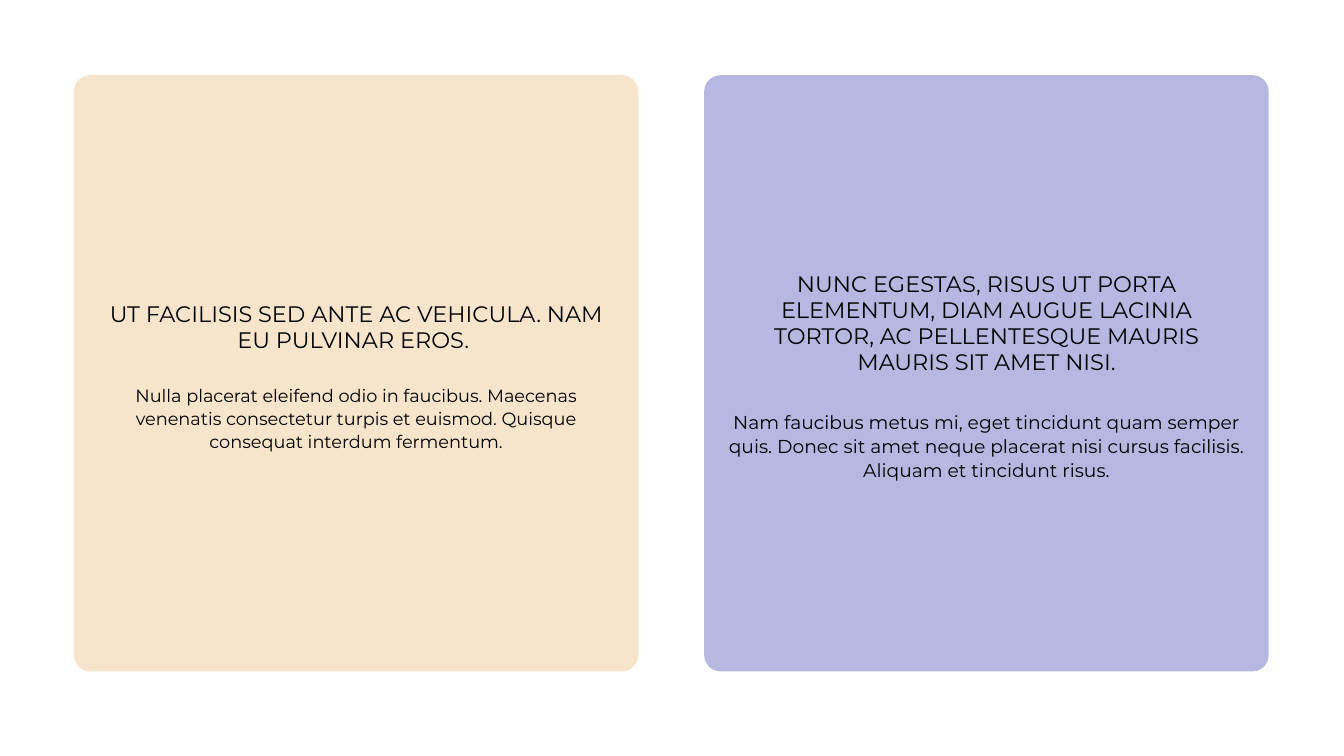
from lxml.etree import SubElement
from pptx import Presentation
from pptx.dml.color import RGBColor
from pptx.enum.shapes import MSO_SHAPE
from pptx.enum.text import MSO_AUTO_SIZE, PP_ALIGN
from pptx.oxml.ns import qn
from pptx.util import Inches, Pt

AMBER = RGBColor(0xE5, 0xAB, 0x55)
INDIGO = RGBColor(0x10, 0x15, 0x9F)
BLACK = RGBColor(0, 0, 0)

PANEL_TOP, PANEL_WIDTH, PANEL_HEIGHT = 1.12, 8.4, 8.87
CORNER_RADIUS = 0.24
TEXT_WIDTH = 7.67
TEXT_INSET = (PANEL_WIDTH - TEXT_WIDTH) / 2


class SlideBuilder:
    font = "Montserrat"
    panel_opacity = 30  # percent

    def __init__(self, slide):
        self.slide = slide

    def panel(self, left, color):
        panel = self.slide.shapes.add_shape(
            MSO_SHAPE.ROUNDED_RECTANGLE, Inches(left), Inches(PANEL_TOP),
            Inches(PANEL_WIDTH), Inches(PANEL_HEIGHT))
        panel.adjustments[0] = CORNER_RADIUS / PANEL_WIDTH
        panel.shadow.inherit = False
        panel.line.fill.background()
        panel.fill.solid()
        panel.fill.fore_color.rgb = color
        # Transparency of the fill
        color_xml = panel.fill._xPr.find(qn("a:solidFill"))[0]
        SubElement(color_xml, qn("a:alpha"), val=str(self.panel_opacity * 1000))

    def text(self, left, top, height, content, size, leading):
        box = self.slide.shapes.add_textbox(
            Inches(left), Inches(top), Inches(TEXT_WIDTH), Inches(height))
        frame = box.text_frame
        frame.word_wrap = True
        frame.auto_size = MSO_AUTO_SIZE.SHAPE_TO_FIT_TEXT
        frame.margin_left = frame.margin_right = 0
        frame.margin_top = frame.margin_bottom = 0
        frame.text = content
        paragraph = frame.paragraphs[0]
        paragraph.alignment = PP_ALIGN.CENTER
        paragraph.line_spacing = Pt(leading)
        font = paragraph.runs[0].font
        font.name, font.size = self.font, Pt(size)
        font.color.rgb = BLACK


# Each column: left, colour, then texts as (top, height, content, size, leading)
COLUMNS = [
    (1.1, AMBER, [
        (4.47, 0.78, "UT FACILISIS SED ANTE AC VEHICULA. NAM EU PULVINAR EROS. ",
         24, 28),
        (5.69, 1.04, "Nulla placerat eleifend odio in faucibus. Maecenas venenatis "
         "consectetur turpis et euismod. Quisque consequat interdum fermentum.",
         19, 25),
    ]),
    (10.48, INDIGO, [
        (4.03, 1.56, "NUNC EGESTAS, RISUS UT PORTA ELEMENTUM, DIAM AUGUE LACINIA "
         "TORTOR, AC PELLENTESQUE MAURIS MAURIS SIT AMET NISI.", 24, 28),
        (6.08, 1.08, "Nam faucibus metus mi, eget tincidunt quam semper quis. Donec "
         "sit amet neque placerat nisi cursus facilisis. Aliquam et tincidunt risus.",
         20, 26),
    ]),
]


def main():
    presentation = Presentation()
    presentation.slide_width = Inches(20)
    presentation.slide_height = Inches(11.25)
    blank_layout = presentation.slide_layouts[6]
    builder = SlideBuilder(presentation.slides.add_slide(blank_layout))

    # Two panels, each with a heading and a body text
    for left, color, texts in COLUMNS:
        builder.panel(left, color)
        for top, height, content, size, leading in texts:
            builder.text(left + TEXT_INSET, top, height, content, size, leading)

    presentation.save("out.pptx")


if __name__ == "__main__":
    main()
